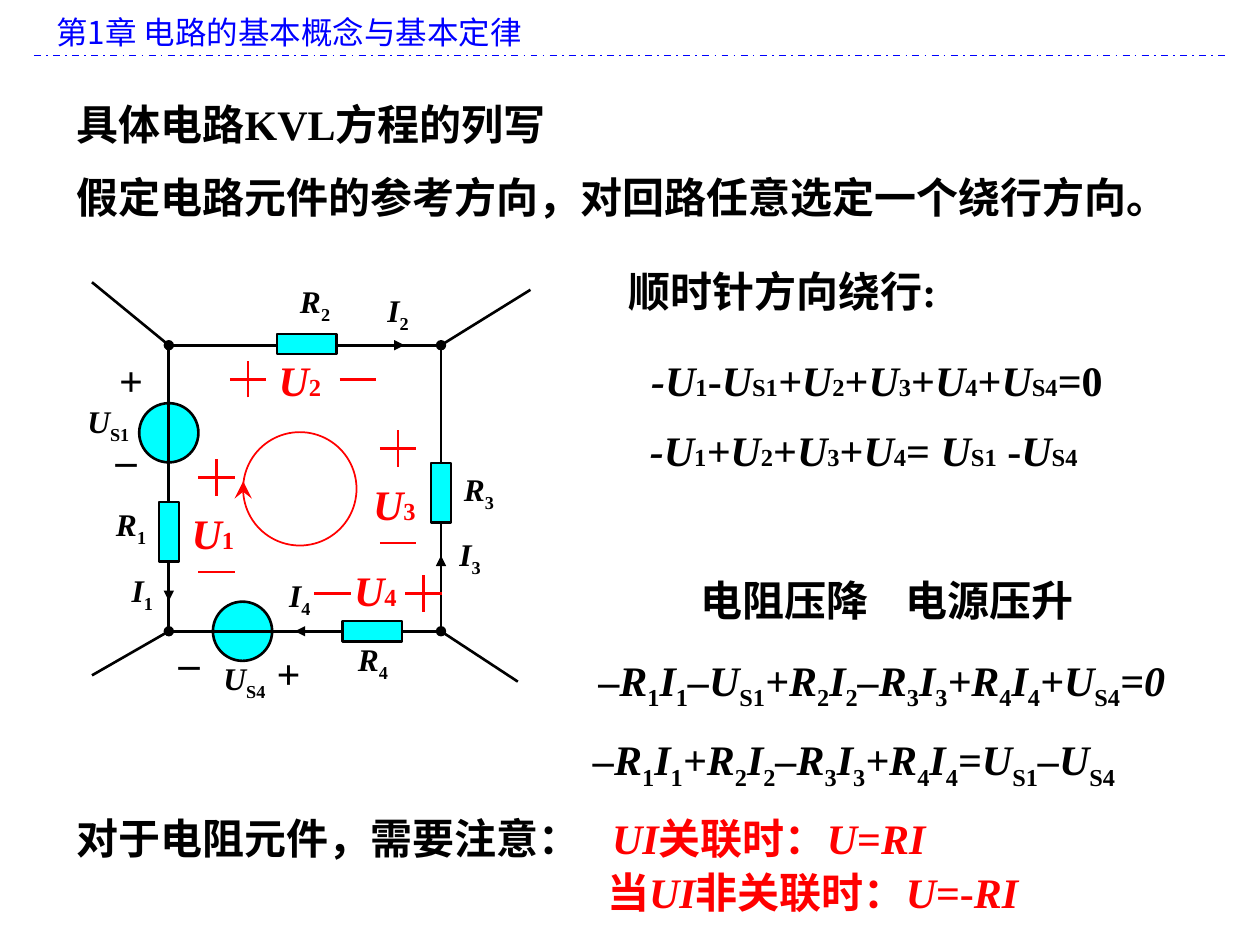
from lxml import etree
from pptx import Presentation
from pptx.dml.color import RGBColor
from pptx.enum.dml import MSO_LINE
from pptx.enum.shapes import MSO_CONNECTOR, MSO_SHAPE
from pptx.enum.text import MSO_ANCHOR, PP_ALIGN
from pptx.oxml.ns import qn
from pptx.util import Inches, Pt

STRAIGHT = MSO_CONNECTOR.STRAIGHT
OVAL, RECTANGLE = MSO_SHAPE.OVAL, MSO_SHAPE.RECTANGLE
LEFT, CENTER = PP_ALIGN.LEFT, PP_ALIGN.CENTER
TOP, MIDDLE = MSO_ANCHOR.TOP, MSO_ANCHOR.MIDDLE
DASH_DOT = MSO_LINE.DASH_DOT

COLORS = {"black": "000000", "blue": "0000FF", "red": "FF0000", "cyan": "00FFFF"}
SERIF, SANS = "Times New Roman", "Noto Sans CJK SC"
COLUMNS, ROWS = 100, 75
CELL = Inches(10) / COLUMNS


def cells(count):
    return round(count * CELL)


def color(name):
    return RGBColor.from_string(COLORS[name])


def add_span(para, code, words, size, tint, font, bold):
    """Codes: n upright, i italic, s subscript, t small upright."""
    span = para.add_run()
    span.text = words
    span.font.size = Pt(14 if code == "t" else size)
    span.font.name = font
    span.font.bold = bold
    span.font.italic = code == "i"
    span.font.color.rgb = color(tint)
    properties = span._r.get_or_add_rPr()
    etree.SubElement(properties, qn("a:ea")).set("typeface", SANS)
    if code == "s":
        properties.set("baseline", "-25000")


def add_text(page, box, markup, size=24, tint="black", align=LEFT,
             anchor=MIDDLE, font=SERIF, bold=True, spacing=None):
    frame = page.shapes.add_textbox(*map(cells, box)).text_frame
    frame.word_wrap = True
    frame.vertical_anchor = anchor
    para = frame.paragraphs[0]
    para.alignment = align
    if spacing:
        para.line_spacing = spacing
    for part in markup.split("|"):
        add_span(para, part[0], part[1:], size, tint, font, bold)


def add_label(page, x, y, markup, size=18, tint="black"):
    add_text(page, (x - 3.75, y - 2.5, 7.5, 5), markup, size, tint, CENTER)


def add_line(page, start, end, tint="black", weight=1.5, dash=None,
             head=None, tail=None, tip="med"):
    wire = page.shapes.add_connector(STRAIGHT, *map(cells, (*start, *end)))
    wire.line.color.rgb = color(tint)
    wire.line.width = Pt(weight)
    if dash:
        wire.line.dash_style = dash
    outline = wire.line._get_or_add_ln()
    for tag, kind in (("a:headEnd", head), ("a:tailEnd", tail)):
        if kind:
            mark = etree.SubElement(outline, qn(tag))
            for name, value in (("type", kind), ("w", tip), ("len", tip)):
                mark.set(name, value)
    etree.SubElement(wire._element.spPr, qn("a:effectLst"))


def add_part(page, kind, x, y, width, height, fill="cyan", tint="black", weight=1.5, turn=0):
    part = page.shapes.add_shape(
        kind, *map(cells, (x - width / 2, y - height / 2, width, height)))
    part.shadow.inherit = False
    part.rotation = turn
    if fill:
        part.fill.solid()
        part.fill.fore_color.rgb = color(fill)
    else:
        part.fill.background()
    part.line.color.rgb = color(tint)
    part.line.width = Pt(weight)


def add_header(page, box):
    left, top, width, height = box
    add_text(page, (left + 0.8, top, width - 0.8, height), "n第1章 电路的基本概念与基本定律",
             18, "blue", anchor=TOP, font=SANS, bold=False)
    add_line(page, (left, top + height), (left + width, top + height), "blue", 1, DASH_DOT)


def add_introduction(page, box):
    left, top, width, height = box
    add_text(page, (left, top, width, 5.8), "n具体电路KVL方程的列写", spacing=1.2)
    add_text(page, (left, top + height - 5, width, 5), "n假定电路元件的参考方向，对回路任意选定一个绕行方向。")


def add_circuit(page, box):
    left, top, width, height = box

    def at(x, y):
        return left + x, top + y

    for x, y in ((5.85, height), (0, 6.95)):
        add_part(page, OVAL, *at(x, y), 4.7, 4.7)

    for y in (0, height):
        add_line(page, at(0, y), at(width, y))
    for x in (0, width):
        add_line(page, at(x, 0), at(x, height), head="oval", tail="oval")
    for corner, end in (((width, height), (27.7, 26.7)), ((width, 0), (28.7, -4.4)),
                        ((0, height), (-6.1, 26.2)), ((0, 0), (-6.1, -5))):
        add_line(page, at(*corner), at(*end))

    for start, end in (((0, 15.6), (0, 20.3)), ((14.2, height), (10, height)),
                       ((15.3, 0), (18.7, 0)), ((width, 21.4), (width, 16.7))):
        add_line(page, at(*start), at(*end), weight=1, tail="triangle")

    for x, y, turn in ((10.95, -0.1, 0), (16.15, height, 0), (width, 11.7, 90), (0, 14.8, 90)):
        add_part(page, RECTANGLE, *at(x, y), 4.7, 1.6, turn=turn)

    for x, y, letter, index in (
            (-2.1, 19.6, "I", "1"), (18.2, -2.6, "I", "2"),
            (23.9, 16.8, "I", "3"), (10.4, 20, "I", "4"),
            (-3, 14.4, "R", "1"), (11.6, -3.3, "R", "2"),
            (24.6, 11.6, "R", "3"), (16.2, 25.1, "R", "4"),
            (-4.8, 6.2, "U", "S1"), (6, 26.6, "U", "S4")):
        add_label(page, *at(x, y), f"i{letter}|s{index}")
    for x, y, sign in ((-3, 2.7, "+"), (-3.4, 7.9, "_"), (9.5, 26, "+"), (1.6, 24, "_")):
        add_label(page, *at(x, y), f"n{sign}", 24)


def add_voltages(page, box):
    left, top = box[:2]
    arm = 1.45
    for index, plus, minus, label in (
            (1, (3.8, 10.5), (3.8, 18), (3.5, 14.9)),
            (2, (6.3, 2.7), (15, 2.7), (10.4, 2.7)),
            (3, (18.2, 8.2), (18.2, 15.7), (17.9, 12.6)),
            (4, (20.2, 19.7), (13, 19.7), (16.4, 19.4))):
        for x, y in (plus, minus):
            add_line(page, (left + x - arm, top + y), (left + x + arm, top + y), "red")
        x, y = left + plus[0], top + plus[1]
        add_line(page, (x, y + arm), (x, y - arm), "red")
        add_label(page, left + label[0], top + label[1], f"iU|t{index}", 24, "red")


def add_loop(page, box):
    left, top, width, height = box
    middle = top + height / 2
    add_part(page, OVAL, left + width / 2, middle, width, height, None, "red", 1)
    add_line(page, (left, middle - 0.1), (left, middle - 0.6), "red", 0.75,
             tail="stealth", tip="lg")


def add_equations(page, box):
    left, top, width, height = box
    add_text(page, (left + 2.7, top, 26.6, 5), "n顺时针方向绕行:", align=CENTER)
    for x, y, markup in (
            (4.6, 7, "i-U|t1|n-|iU|tS1|i+U|t2|n+|iU|t3|n+|iU|t4|n+|iU|tS4|n=0"),
            (4.5, 12.6, "i-U|t1|i+U|t2|n+|iU|t3|n+|iU|t4|n= |iU|tS1|n -|iU|tS4"),
            (0.4, 31.1, "n–|iR|s1|iI|s1|i–U|sS1|i+R|s2|iI|s2|i–R|s3|iI|s3"
                        "|i+R|s4|iI|s4|i+U|sS4|i=0"),
            (0, 37.4, "i–R|s1|iI|s1|i+R|s2|iI|s2|i–R|s3|iI|s3|i+R|s4|iI|s4|i=U|sS1|i–U|sS4")):
        add_text(page, (left + x, top + y, width - x, 5), markup)
    for x, words in ((7.8, "n电阻压降"), (24, "n电源压升")):
        add_text(page, (left + x, top + 24.5, 16.8, 5), words, align=CENTER)


def add_note(page, box):
    left, top, width, height = box
    add_text(page, (left, top, 47.3, 5), "n对于电阻元件，需要注意：")
    for x, y, markup in ((42.5, 0, "iUI|n关联时：|iU|n=|iRI"),
                         (42.1, height - 5, "n当|iUI|n非关联时：|iU|n=-|iRI")):
        add_text(page, (left + x, top + y, width - x, 5), markup, tint="red")


def main():
    deck = Presentation()
    deck.slide_width, deck.slide_height = cells(COLUMNS), cells(ROWS)
    page = deck.slides.add_slide(deck.slide_layouts[6])
    circuit = (13.4, 27.4, 21.6, 22.7)
    add_header(page, (2.7, 0.5, 94.5, 3.9))
    add_introduction(page, (5.1, 6.5, 91.4, 11.6))
    add_circuit(page, circuit)
    add_voltages(page, circuit)
    add_loop(page, (19.3, 34.3, 9, 9))
    add_equations(page, (46.1, 20.6, 49.6, 42.4))
    add_note(page, (5.1, 64, 89.4, 9.3))
    deck.save("out.pptx")


if __name__ == "__main__":
    main()
